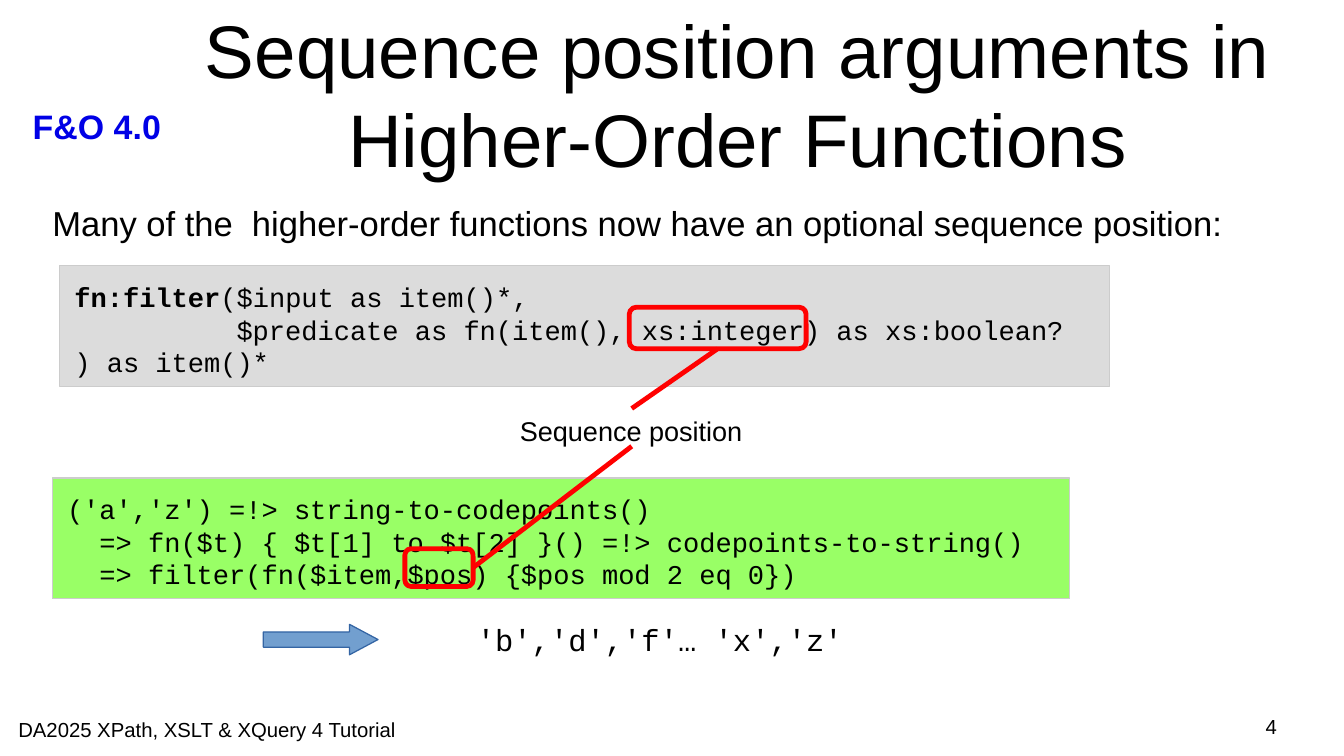
from lxml.etree import SubElement
from pptx import Presentation
from pptx.dml.color import RGBColor
from pptx.enum.shapes import MSO_CONNECTOR as Connector, MSO_SHAPE as Shape
from pptx.enum.text import MSO_ANCHOR as Anchor, PP_ALIGN as Align
from pptx.oxml.ns import qn
from pptx.util import Inches, Pt

COLOURS = {
    "black": "000000", "blue": "0000E6", "red": "FF0000", "grey": "DCDCDC",
    "border": "CCCCCC", "green": "99FF66", "arrow": "729FCF", "arrow_edge": "3465A4",
}
SANS, MONO = "Arial", "Courier New"
PADDED, FLUSH, CODE = (0.1, 0.05), (0, 0), (0.12, 0.12)


def colour(name):
    return RGBColor.from_string(COLOURS[name])


def write(shape, lines, size, font=SANS, ink="black", align=Align.LEFT,
          anchor=Anchor.TOP, inset=FLUSH):
    frame = shape.text_frame
    frame.word_wrap = True
    frame.vertical_anchor = anchor
    frame.margin_left = frame.margin_right = Inches(inset[0])
    frame.margin_top = frame.margin_bottom = Inches(inset[1])
    for number, spans in enumerate(lines):
        para = frame.add_paragraph() if number else frame.paragraphs[0]
        para.alignment = align
        para.space_before = Pt(0)
        for text, bold in spans:
            span = para.add_run()
            span.text = text
            span.font.name = font
            span.font.size = Pt(size)
            span.font.bold = bold
            span.font.color.rgb = colour(ink)


def add_title(page, text, place):
    title = page.shapes.title
    title.left, title.top, title.width, title.height = map(Inches, place)
    write(title, [[(text, False)]], 44, align=Align.CENTER, anchor=Anchor.MIDDLE)


def add_label(page, text, place, size, bold=False, **style):
    box = page.shapes.add_textbox(*map(Inches, place))
    write(box, [[(text, bold)]], size, **style)


def add_figure(page, kind, place, line, width, fill=None):
    figure = page.shapes.add_shape(kind, *map(Inches, place))
    figure.shadow.inherit = False
    if fill:
        figure.fill.solid()
        figure.fill.fore_color.rgb = colour(fill)
    else:
        figure.fill.background()
    figure.line.color.rgb = colour(line)
    figure.line.width = Pt(width)
    return figure


def add_code(page, lines, place, fill):
    box = add_figure(page, Shape.RECTANGLE, place, "border", 0, fill)
    write(box, lines, 16, font=MONO, inset=CODE)


def add_highlight(page, place, start, side):
    frame = add_figure(page, Shape.ROUNDED_RECTANGLE, place, "red", 2.83)
    frame.adjustments[0] = 0.167
    x, y = map(Inches, start)
    pointer = page.shapes.add_connector(Connector.STRAIGHT, x, y, x, y)
    pointer.end_connect(frame, side)
    pointer.line.color.rgb = colour("red")
    pointer.line.width = Pt(2.83)
    SubElement(pointer._element.spPr, qn("a:effectLst"))


def add_result_arrow(page, place):
    arrow = add_figure(page, Shape.RIGHT_ARROW, place, "arrow_edge", 0, "arrow")
    arrow.adjustments[0] = 0.5
    arrow.adjustments[1] = 0.936


def main():
    deck = Presentation()
    deck.slide_width, deck.slide_height = Inches(11.02), Inches(6.2)
    page = deck.slides.add_slide(deck.slide_layouts[5])

    add_label(page, "F&O 4.0", (0.17, 0.82, 1.38, 0.41), 20, bold=True,
              ink="blue", inset=PADDED)
    add_title(page, "Sequence position arguments in Higher-Order Functions",
              (1.63, 0.08, 8.84, 1.37))
    add_label(page, "Many of the  higher-order functions now have an optional sequence position:",
              (0.43, 1.66, 10.04, 0.47), 20.4)

    add_code(page, [
        [("fn:filter", True), ("($input as item()*,", False)],
        [("          $predicate as fn(item(), xs:integer) as xs:boolean?", False)],
        [(") as item()*", False)],
    ], (0.49, 2.18, 8.61, 0.99), "grey")
    add_code(page, [
        [("('a','z') =!> string-to-codepoints()", False)],
        [("  => fn($t) { $t[1] to $t[2] }() =!> codepoints-to-string()", False)],
        [("  => filter(fn($item,$pos) {$pos mod 2 eq 0})", False)],
    ], (0.43, 3.92, 8.34, 0.99), "green")

    add_label(page, "Sequence position", (4.05, 3.35, 2.25, 0.35), 16,
              align=Align.CENTER, inset=PADDED)
    add_highlight(page, (5.16, 2.52, 1.45, 0.34), (5.18, 3.35), 2)
    add_highlight(page, (3.32, 4.5, 0.56, 0.31), (5.18, 3.66), 3)

    add_label(page, "'b','d','f'… 'x','z'", (3.55, 5.04, 3.72, 0.41), 18,
              font=MONO, align=Align.CENTER, inset=PADDED)
    add_result_arrow(page, (2.16, 5.12, 0.94, 0.25))

    add_label(page, "DA2025 XPath, XSLT & XQuery 4 Tutorial", (0.15, 5.88, 3.49, 0.19), 12)
    add_label(page, "4", (7.9, 5.86, 2.57, 0.24), 12, align=Align.RIGHT)
    deck.save("out.pptx")


if __name__ == "__main__":
    main()
